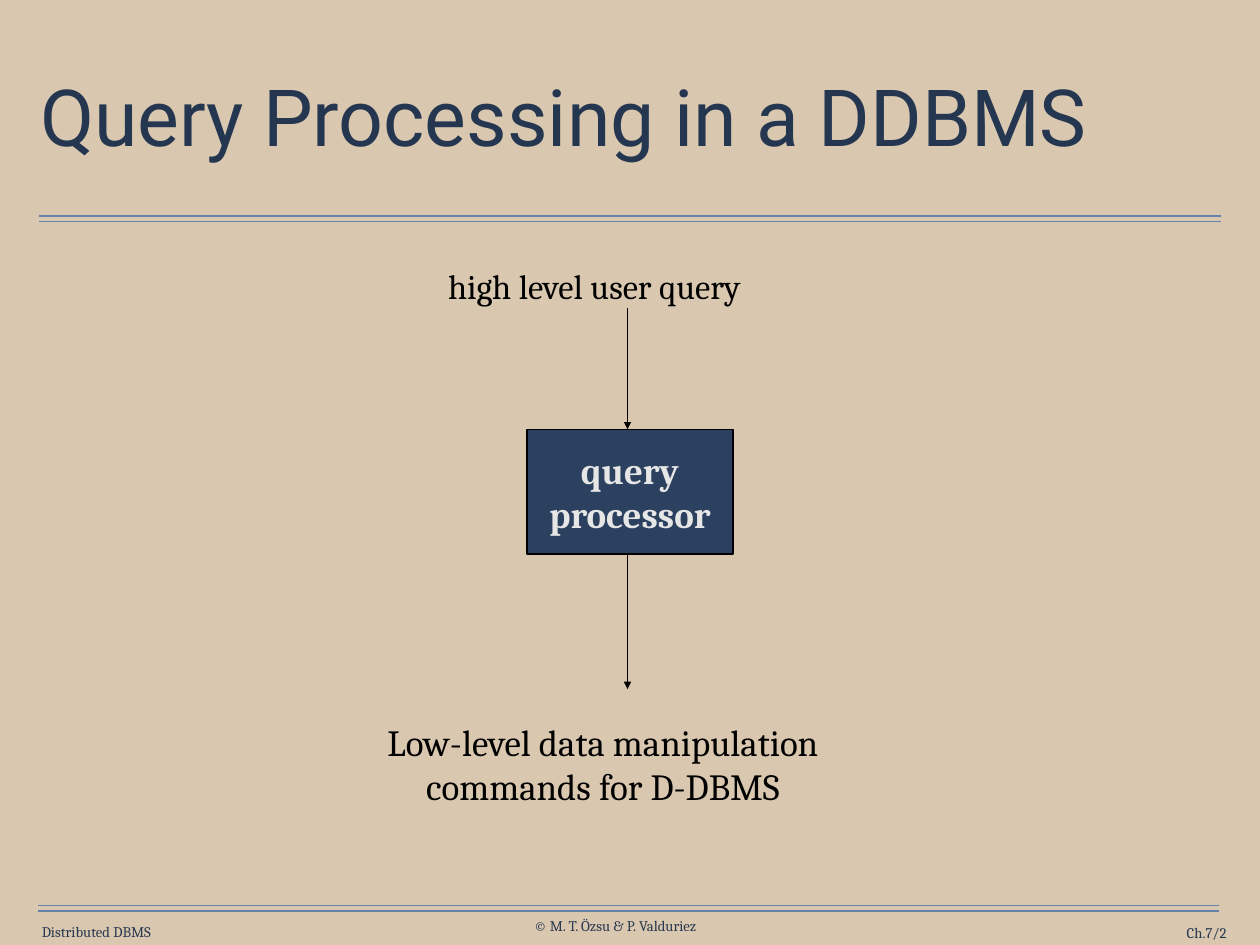
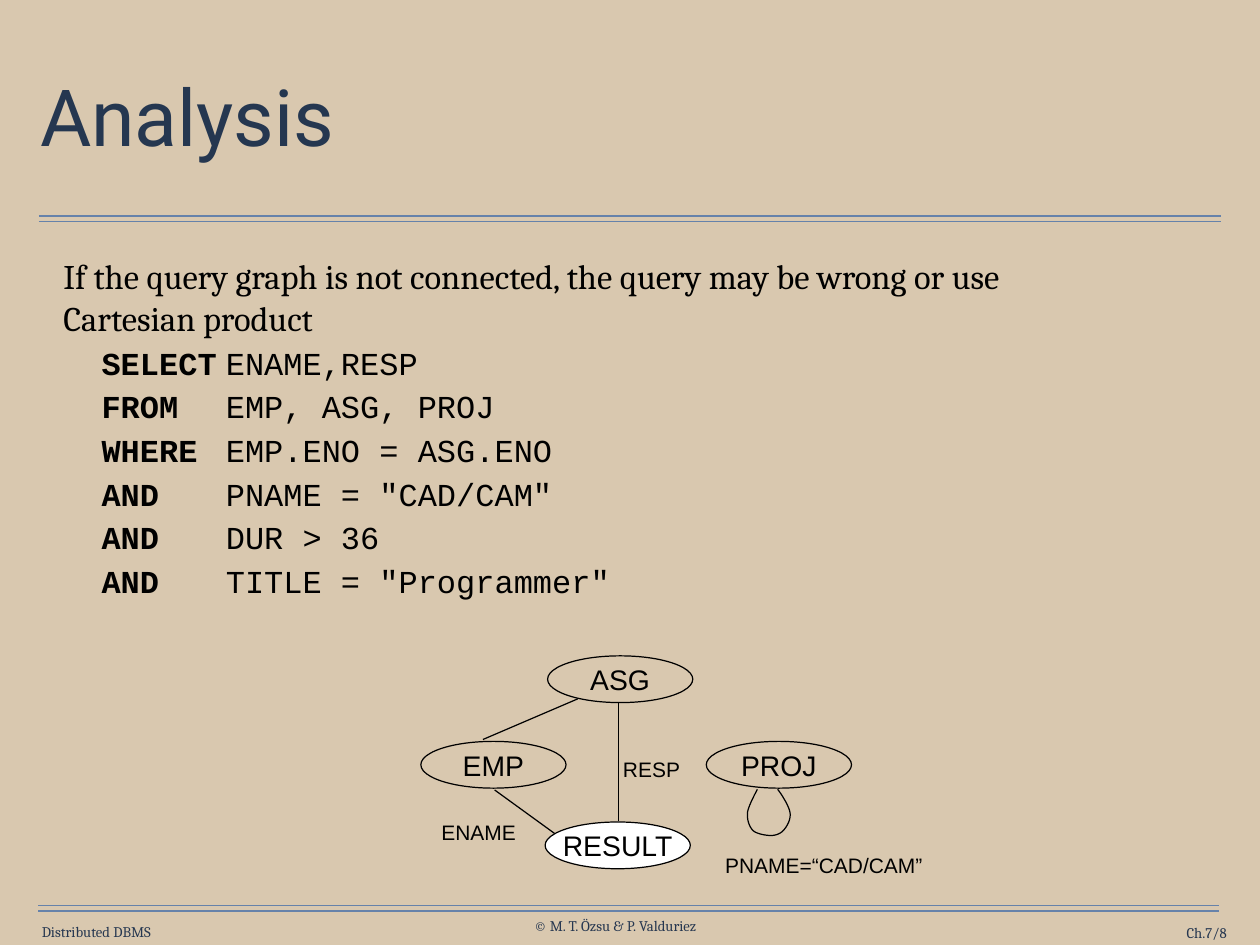
from lxml import etree
from pptx import Presentation
from pptx.dml.color import RGBColor
from pptx.enum import shapes, text
from pptx.oxml import ns
from pptx.util import Pt

COLORS = {
    "sand": "D9C8AF", "rule": "6682AA", "title": "253750", "footer": "263750",
    "navy": "2C405F", "light": "E6E6E6", "black": "000000", "white": "FFFFFF",
}
SERIF, SANS, MONO, HEADING = "Cambria", "Arial", "Courier New", "Roboto"
LEFT, CENTER, RIGHT = text.PP_ALIGN.LEFT, text.PP_ALIGN.CENTER, text.PP_ALIGN.RIGHT


def rgb(name):
    """Return the named colour."""
    return RGBColor.from_string(COLORS[name])


def bezier(p0, p1, p2, p3, steps=10):
    """Return points along a cubic curve, without its start."""
    points = []
    for i in range(1, steps + 1):
        t = i / steps
        weights = ((1 - t) ** 3, 3 * t * (1 - t) ** 2, 3 * t * t * (1 - t), t ** 3)
        points.append(tuple(sum(w * p[axis] for w, p in zip(weights, (p0, p1, p2, p3)))
                            for axis in (0, 1)))
    return points


class Deck:
    """Holds the presentation, its style and the current slide."""

    def __init__(self, width, height):
        """Start a presentation with the shared background."""
        self.prs = Presentation()
        self.prs.slide_width, self.prs.slide_height = Pt(width), Pt(height)
        fill = self.prs.slide_master.background.fill
        fill.solid()
        fill.fore_color.rgb = rgb("sand")
        self.s = None

    def slide(self, title, number):
        """Add a slide with title, double rules and footers."""
        self.s = self.prs.slides.add_slide(self.prs.slide_layouts[5])
        for left, right, top in ((31.5, 992, 175.5), (31, 991, 736)):
            for y in (top, top + 4.4):
                self.line(left, y, right, y, color="rule")
        for label, box, align in (
                ("Distributed DBMS", (34, 749.5, 100, 14.5), LEFT),
                ("© M. T. Özsu & P. Valduriez", (434, 745, 150, 14.5), LEFT),
                (f"Ch.7/{number}", (886, 751, 111, 14.5), RIGHT)):
            self.label(label, *box, size=12, color="footer", align=align)
        sp = self.s.shapes.title
        sp.left, sp.top, sp.width, sp.height = Pt(28), Pt(35), Pt(968), Pt(127)
        self.put_text(sp, title, 64, HEADING, "title", LEFT, inset=4.5)
        sp.text_frame.paragraphs[0].line_spacing = 0.9

    def font(self, r, size, name, color="black", bold=False):
        """Format one run."""
        r.font.size, r.font.name, r.font.bold = Pt(size), name, bold
        r.font.color.rgb = rgb(color)

    def frame(self, sp, inset=0, wrap=True, anchor=text.MSO_ANCHOR.MIDDLE):
        """Set up the text frame of a shape and return it."""
        tf = sp.text_frame
        tf.word_wrap, tf.auto_size = wrap, text.MSO_AUTO_SIZE.NONE
        tf.vertical_anchor = anchor
        tf.margin_left = tf.margin_right = Pt(inset)
        tf.margin_top = tf.margin_bottom = Pt(inset)
        return tf

    def put_text(self, sp, content, size, name, color, align, bold=False, inset=0, wrap=True):
        """Put evenly formatted text into a shape."""
        tf = self.frame(sp, inset, wrap)
        tf.text = content
        for p in tf.paragraphs:
            p.alignment = align
            for r in p.runs:
                self.font(r, size, name, color, bold)

    def label(self, content, x, y, w, h, size, name=SERIF, color="black", align=CENTER):
        """Add a text box."""
        sp = self.s.shapes.add_textbox(Pt(x), Pt(y), Pt(w), Pt(h))
        self.put_text(sp, content, size, name, color, align)

    def outline(self, sp, fill=None, width=1):
        """Give a shape its black line, its fill and no shadow."""
        sp.shadow.inherit = False
        sp.line.color.rgb, sp.line.width = rgb("black"), Pt(width)
        if fill:
            sp.fill.solid()
            sp.fill.fore_color.rgb = rgb(fill)
        else:
            sp.fill.background()

    def box(self, content, x, y, w, h):
        """Add a filled process box with bold text."""
        sp = self.s.shapes.add_shape(shapes.MSO_SHAPE.RECTANGLE, Pt(x), Pt(y), Pt(w), Pt(h))
        self.outline(sp, "navy", 1.5)
        self.put_text(sp, content, 30, SERIF, "light", CENTER, bold=True)

    def node(self, content, x, y, fill=None):
        """Add an elliptic node of the query graph."""
        sp = self.s.shapes.add_shape(shapes.MSO_SHAPE.OVAL, Pt(x), Pt(y), Pt(118), Pt(38))
        self.outline(sp, fill)
        self.put_text(sp, content, 23, SANS, "black", CENTER, wrap=False)

    def line(self, x1, y1, x2, y2, color="black", width=1, arrow=False):
        """Add a straight line, with an arrowhead at its end if asked."""
        c = self.s.shapes.add_connector(
            shapes.MSO_CONNECTOR.STRAIGHT, Pt(x1), Pt(y1), Pt(x2), Pt(y2))
        c.line.color.rgb, c.line.width = rgb(color), Pt(width)
        spPr = c.element.spPr
        if arrow:
            etree.SubElement(spPr.get_or_add_ln(), ns.qn("a:tailEnd"), type="triangle")
        etree.SubElement(spPr, ns.qn("a:effectLst"))

    def curve(self, start, *segments):
        """Add an open outline of cubic segments."""
        points = [start]
        for segment in segments:
            points += bezier(points[-1], *segment)
        emu = [(Pt(x), Pt(y)) for x, y in points]
        builder = self.s.shapes.build_freeform(*emu[0])
        builder.add_line_segments(emu[1:], close=False)
        self.outline(builder.convert_to_shape())

    def query(self, intro, clauses, x, y, w, h):
        """Add an introduction followed by the clauses of a query."""
        sp = self.s.shapes.add_textbox(Pt(x), Pt(y), Pt(w), Pt(h))
        tf = self.frame(sp, 4.5, anchor=text.MSO_ANCHOR.TOP)
        tf.text = intro
        self.font(tf.paragraphs[0].runs[0], 28, SERIF)
        for keyword, rest in clauses:
            p = tf.add_paragraph()
            p.space_before = Pt(4.3)
            pPr = p._p.get_or_add_pPr()
            pPr.set("marL", str(Pt(132)))
            pPr.set("indent", str(-Pt(101)))
            for content, bold in ((keyword, True), ("\t" + rest, False)):
                r = p.add_run()
                r.text = content
                self.font(r, 26, MONO, bold=bold)


def processing_slide(deck):
    """Show the query processor between its input and output."""
    deck.slide("Query Processing in a DDBMS", 2)
    deck.label("high level user query", 354, 210, 258, 44, 28)
    deck.box("query\nprocessor", 428, 349, 168, 101)
    deck.line(510, 250.5, 510, 349, width=1.5, arrow=True)
    deck.line(510, 450.5, 510, 560, width=1.5, arrow=True)
    deck.label("Low-level data manipulation\ncommands for D-DBMS", 305, 579, 370, 83, 30)


def analysis_slide(deck):
    """Show a query and its disconnected query graph."""
    deck.slide("Analysis", 8)
    deck.query(
        "If the query graph is not connected, the query may be wrong or use Cartesian product",
        (("SELECT", "ENAME,RESP"),
         ("FROM", "EMP, ASG, PROJ"),
         ("WHERE", "EMP.ENO = ASG.ENO"),
         ("AND", 'PNAME = "CAD/CAM"'),
         ("AND", "DUR > 36"),
         ("AND", 'TITLE = "Programmer"')),
        47, 203, 802, 335)
    for edge in ((402, 642, 453, 679), (502.5, 571, 502.5, 667), (469.5, 568, 392.5, 601)):
        deck.line(*edge)
    for name, x, y, fill in (("ASG", 445, 533, None), ("EMP", 342, 602.5, None),
                             ("PROJ", 574, 602.5, None), ("RESULT", 443, 668, "white")):
        deck.node(name, x, y, fill)
    for name, x, y, w in (("PNAME=“CAD/CAM”", 578, 687.5, 183),
                          ("ENAME", 348, 661, 82), ("RESP", 496, 610, 67)):
        deck.label(name, x, y, w, 31, 17, SANS)
    deck.curve(
        (615.5, 641.5),
        ((614, 644.5), (608.5, 654.5), (607.5, 660)),
        ((607, 665.5), (608.5, 671), (611.5, 674.5)),
        ((614, 677.5), (622, 679), (626.5, 679)),
        ((630.5, 679), (634.5, 677.5), (637, 674.5)),
        ((640, 671), (643, 665.5), (642, 660)),
        ((641, 654.5), (634.5, 644.5), (632, 641.5)))


deck = Deck(1024, 768)
processing_slide(deck)
analysis_slide(deck)
deck.prs.save("out.pptx")
